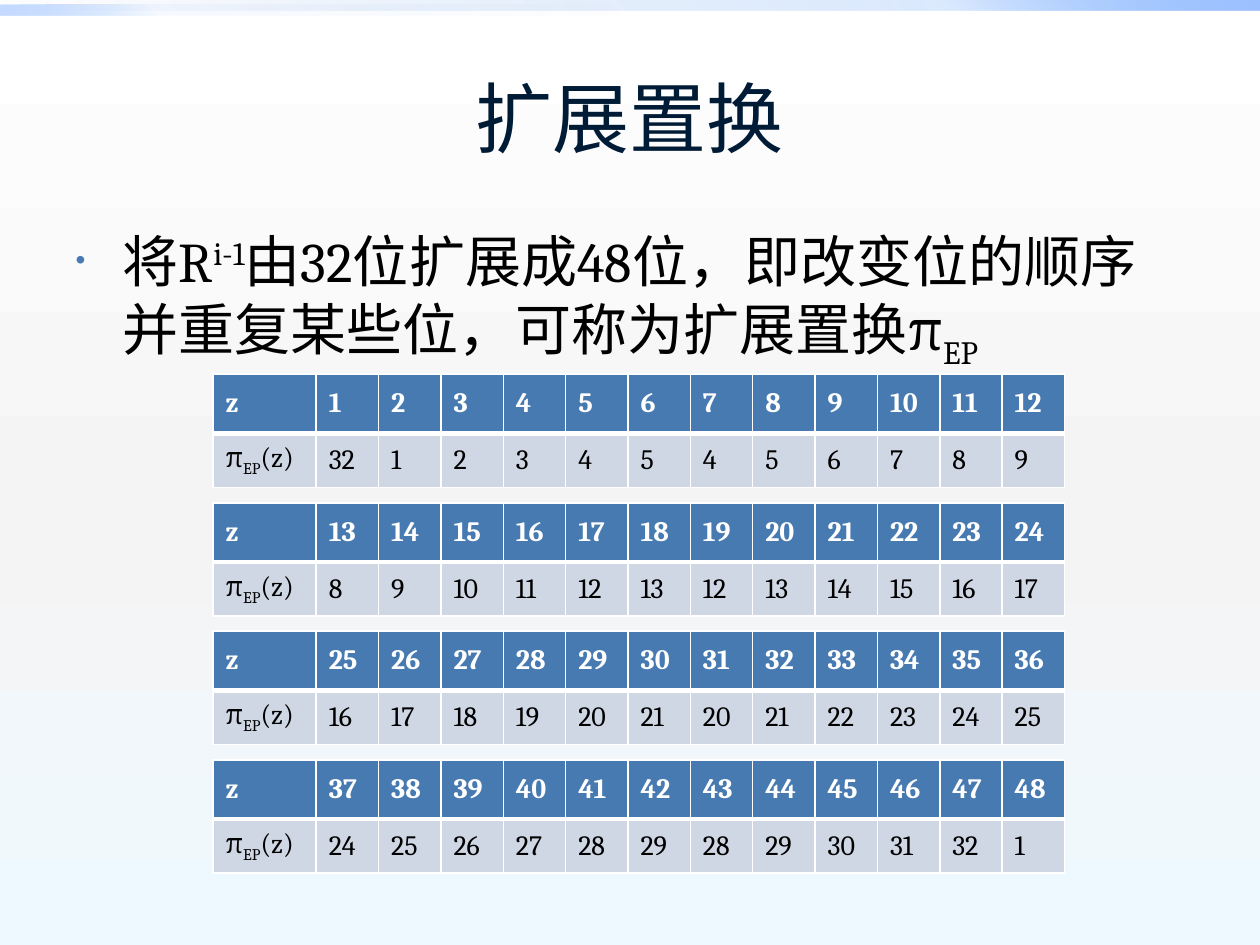
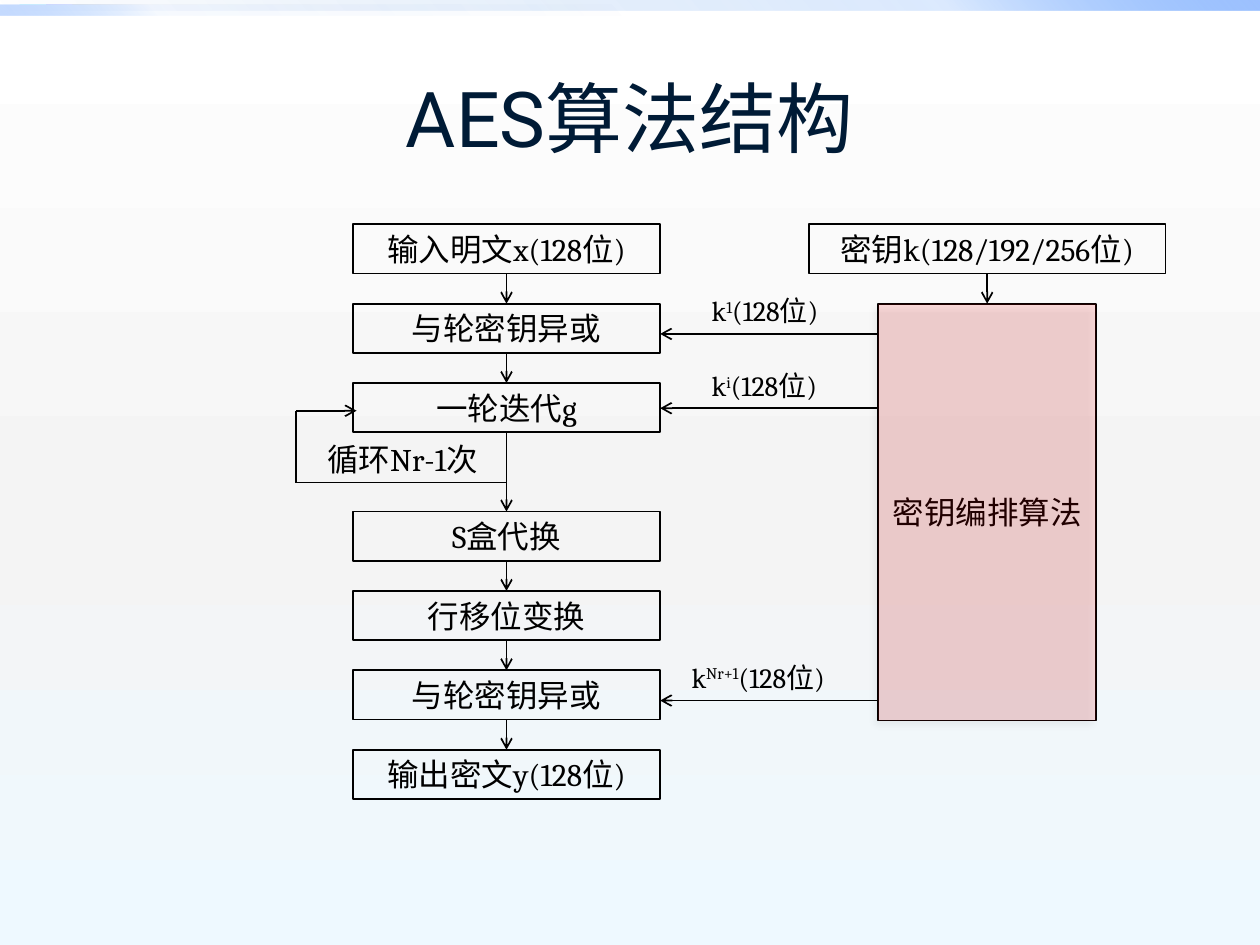
from lxml.etree import SubElement
from pptx import Presentation
from pptx.dml.color import RGBColor
from pptx.enum.shapes import MSO_CONNECTOR, MSO_SHAPE
from pptx.enum.text import MSO_ANCHOR, MSO_AUTO_SIZE, PP_ALIGN
from pptx.oxml.ns import qn
from pptx.util import Inches, Pt

BLACK = RGBColor(0x00, 0x00, 0x00)
WHITE = RGBColor(0xFF, 0xFF, 0xFF)
NAVY = RGBColor(0x00, 0x1B, 0x36)
STEEL = RGBColor(0x47, 0x7A, 0xB1)
PALE_STEEL = RGBColor(0xCF, 0xD7, 0xE4)
RED = RGBColor(0xFF, 0x00, 0x00)
LIGHT_GREY = RGBColor(0xF4, 0xF4, 0xF4)
ICE = RGBColor(0xEE, 0xF9, 0xFF)
DEEP_BLUE = RGBColor(0x00, 0x58, 0xB7)
BRIGHT_BLUE = RGBColor(0x4F, 0x95, 0xFF)
SKY_BLUE = RGBColor(0x9E, 0xC2, 0xFF)

TITLE_FONT, BODY_FONT = "Roboto", "Cambria"
SUPER, SUB = 30, -25

BOX_HEIGHT, BOX_GAP, LOOP_GAP = 0.39, 0.24, 0.63
STEP_WIDTH = 2.44


def add_color(parent, color, opacity=100):
    node = SubElement(parent, qn("a:srgbClr"), val=str(color))
    if opacity < 100:
        SubElement(node, qn("a:alpha"), val=str(opacity * 1000))


def set_gradient(fill, holder, stops, angle):
    """Replace the fill inside holder by a linear gradient of (position, colour, opacity)."""
    fill.solid()
    solid = holder.find(qn("a:solidFill"))
    gradient = holder.makeelement(qn("a:gradFill"), rotWithShape="1")
    stop_list = SubElement(gradient, qn("a:gsLst"))
    for position, color, opacity in stops:
        stop = SubElement(stop_list, qn("a:gs"), pos=str(position * 1000))
        add_color(stop, color, opacity)
    SubElement(gradient, qn("a:lin"), ang=str(angle * 60000), scaled="0")
    holder.replace(solid, gradient)


def write(frame, *runs, size=18, font=BODY_FONT, color=BLACK, bold=False, align=None):
    """Fill the first paragraph; a run is a text or a (text, baseline shift) pair."""
    para = frame.paragraphs[0]
    if align is not None:
        para.alignment = align
    for run in runs:
        text, shift = (run, 0) if isinstance(run, str) else run
        span = para.add_run()
        span.text = text
        span.font.size = Pt(size)
        span.font.name = font
        span.font.bold = bold
        span.font.color.rgb = color
        if shift:
            span.font._element.set("baseline", str(shift * 1000))
    return para


def add_rect(page, left, top, width, height):
    shape = page.shapes.add_shape(
        MSO_SHAPE.RECTANGLE, Inches(left), Inches(top), Inches(width), Inches(height))
    shape.shadow.inherit = False
    shape.fill.background()
    shape.line.fill.background()
    return shape


def add_step(page, text, left, top, width, height=BOX_HEIGHT):
    shape = add_rect(page, left, top, width, height)
    shape.line.color.rgb = BLACK
    shape.line.width = Pt(1)
    shape.text_frame.vertical_anchor = MSO_ANCHOR.MIDDLE
    write(shape.text_frame, text, align=PP_ALIGN.CENTER)


def add_line(page, x1, y1, x2, y2, arrow=True):
    line = page.shapes.add_connector(
        MSO_CONNECTOR.STRAIGHT, Inches(x1), Inches(y1), Inches(x2), Inches(y2))
    line.line.color.rgb = BLACK
    line.line.width = Pt(1)
    props = line.element.spPr
    if arrow:
        SubElement(props.find(qn("a:ln")), qn("a:tailEnd"), type="arrow")
    SubElement(props, qn("a:effectLst"))


def add_label(page, left, top, width, *runs, **style):
    label = page.shapes.add_textbox(
        Inches(left), Inches(top), Inches(width), Inches(0.37))
    label.text_frame.word_wrap = True
    label.text_frame.auto_size = MSO_AUTO_SIZE.SHAPE_TO_FIT_TEXT
    write(label.text_frame, *runs, **style)


def style_master(deck, page):
    """Give the master its background and top bands, which are drawn on page and moved."""
    master = deck.slide_master
    fill = master.background.fill
    fill.solid()
    set_gradient(fill, master.element.find(".//" + qn("p:bgPr")),
                 [(0, WHITE, 100), (55, LIGHT_GREY, 100), (100, ICE, 100)], 90)
    tree = master.element.find(".//" + qn("p:spTree"))
    bands = [(0, 10, 20, 100, 315), (0.04, 5, 5, 60, 135)]
    for index, (top, width, middle, end, angle) in enumerate(bands):
        band = add_rect(page, 0, top, width, 0.08)
        stops = [(0, DEEP_BLUE, 0), (75, BRIGHT_BLUE, middle), (100, SKY_BLUE, end)]
        set_gradient(band.fill, band.element.spPr, stops, angle)
        tree.insert(2 + index, band.element)


def add_page(deck, layout, title):
    page = deck.slides.add_slide(deck.slide_layouts[layout])
    write(page.shapes.title.text_frame, title, size=44, font=TITLE_FONT,
          color=NAVY, align=PP_ALIGN.CENTER)
    return page


def style_cell(cell, runs, is_header):
    props = cell._tc.get_or_add_tcPr()
    widths = {"L": 1, "R": 1, "T": 1 if is_header else 3, "B": 3 if is_header else 1}
    for side, width in widths.items():
        border = SubElement(props, qn("a:ln" + side), w=str(Pt(width)))
        add_color(SubElement(border, qn("a:solidFill")), WHITE)
    cell.fill.solid()
    cell.fill.fore_color.rgb = STEEL if is_header else PALE_STEEL
    cell.vertical_anchor = MSO_ANCHOR.MIDDLE
    write(cell.text_frame, *runs, size=16, bold=is_header,
          color=WHITE if is_header else BLACK)


def expand(z):
    """Source bit of position z: blocks of six that advance by four, modulo 32."""
    block, offset = divmod(z - 1, 6)
    return (4 * block + offset - 1) % 32 + 1


def add_expansion_table(page, positions, left, top, width):
    label_width = 0.82
    table = page.shapes.add_table(
        2, len(positions) + 1, Inches(left), Inches(top), Inches(width), Inches(0.9)).table
    table.rows[0].height, table.rows[1].height = Inches(0.47), Inches(0.43)
    for index, column in enumerate(table.columns):
        column.width = Inches((width - label_width) / len(positions) if index else label_width)
    rows = [
        [["z"]] + [[str(z)] for z in positions],
        [["π", ("EP", SUB), "(z)"]] + [[str(expand(z))] for z in positions],
    ]
    for row_index, row in enumerate(rows):
        for column_index, runs in enumerate(row):
            style_cell(table.cell(row_index, column_index), runs, row_index == 0)


def build_expansion_page(deck):
    page = add_page(deck, 1, "扩展置换")
    para = write(page.placeholders[1].text_frame, "将R", ("i-1", SUPER),
                 "由32位扩展成48位，即改变位的顺序并重复某些位，可称为扩展置换π",
                 ("EP", SUB), size=32)
    props = para._p.get_or_add_pPr()
    add_color(SubElement(props, qn("a:buClr")), STEEL)
    SubElement(props, qn("a:buSzPct"), val="50000")
    for index in range(4):
        first = 12 * index + 1
        add_expansion_table(page, range(first, first + 12), 1.69, 2.97 + 1.02 * index, 6.76)
    return page


def add_rounds(page, left, top):
    """Draw the column of cipher steps and the loop around the round function."""
    steps = ["输入明文x(128位)", "与轮密钥异或", "一轮迭代g", "S盒代换",
             "行移位变换", "与轮密钥异或", "输出密文y(128位)"]
    loop_step = 2
    center = left + STEP_WIDTH / 2
    y = top
    for index, text in enumerate(steps):
        add_step(page, text, left, y, STEP_WIDTH)
        bottom = y + BOX_HEIGHT
        y = bottom + (LOOP_GAP if index == loop_step else BOX_GAP)
        if index < len(steps) - 1:
            add_line(page, center, bottom, center, y)
    loop_left, loop_top, loop_bottom = left - 0.45, top + 1.48, top + 2.05
    add_line(page, center, loop_bottom, loop_left, loop_bottom, arrow=False)
    add_line(page, loop_left, loop_bottom, loop_left, loop_top, arrow=False)
    add_line(page, loop_left, loop_top, left + 0.03, loop_top)
    add_label(page, left - 0.48, top + 1.66, 1.57, "循环Nr-1次", align=PP_ALIGN.RIGHT)


def add_key_schedule(page, left, top):
    key_width, width, height = 2.83, 1.73, 3.31
    add_step(page, "密钥k(128/192/256位)", left, top, key_width)
    center = left + key_width / 2
    schedule_top = top + BOX_HEIGHT + BOX_GAP
    area = (center - width / 2, schedule_top, width, height)
    add_step(page, "密钥编排算法", *area)
    add_line(page, center, top + BOX_HEIGHT, center, schedule_top)
    tint = add_rect(page, *area)
    tint.fill.solid()
    tint.fill.fore_color.rgb = RED
    props = tint.element.spPr
    color = props.find(qn("a:solidFill")).find(qn("a:srgbClr"))
    SubElement(color, qn("a:alpha"), val="13000")
    shadow = SubElement(props.find(qn("a:effectLst")), qn("a:outerShdw"), rotWithShape="0",
                        blurRad=str(Pt(4)), dist=str(Pt(3)), dir=str(135 * 60000))
    add_color(shadow, BLACK, 40)


def add_round_keys(page, left, top, width):
    """Draw the arrows that lead from the key schedule to the steps, with their labels."""
    keys = [("1", 0.87, 0.31, 0.5, 1.1), ("i", 1.46, 0.31, 1.1, 1.1),
            ("Nr+1", 3.78, 0.15, 3.41, 1.5)]
    for index, arrow_y, label_x, label_y, label_width in keys:
        add_line(page, left + width, top + arrow_y, left, top + arrow_y)
        add_label(page, left + label_x, top + label_y, label_width,
                  "k", (index, SUPER), "(128位)", size=16)


def build_structure_page(deck):
    page = add_page(deck, 5, "AES算法结构")
    left, top = 2.8, 1.78
    add_rounds(page, left, top)
    add_key_schedule(page, 6.42, top)
    add_round_keys(page, left + STEP_WIDTH, top, 1.73)


def main():
    deck = Presentation()
    deck.slide_width, deck.slide_height = Inches(10), Inches(7.5)
    style_master(deck, build_expansion_page(deck))
    build_structure_page(deck)
    deck.save("out.pptx")


if __name__ == "__main__":
    main()
